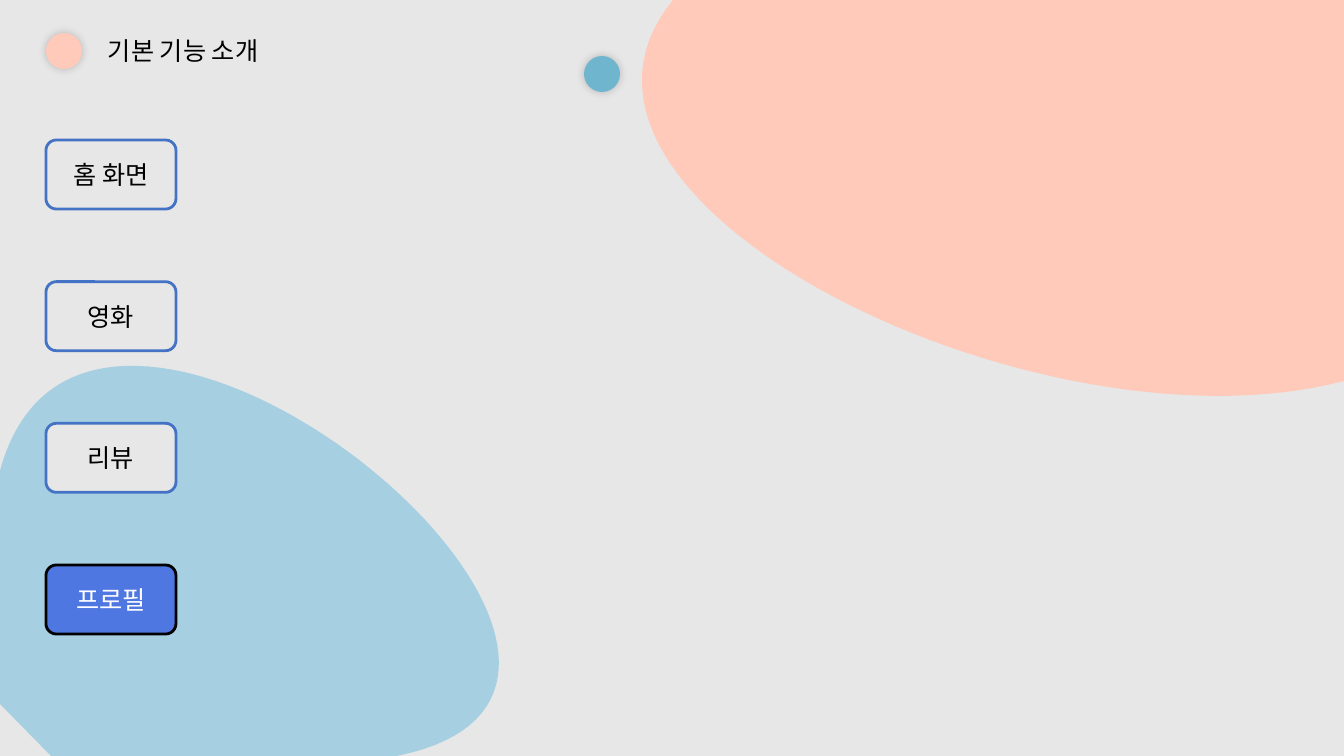
from lxml.etree import SubElement
from pptx import Presentation
from pptx.dml.color import RGBColor
from pptx.enum.shapes import MSO_SHAPE as SHAPE
from pptx.enum.text import MSO_ANCHOR as ANCHOR, MSO_AUTO_SIZE as AUTO, PP_ALIGN as ALIGN
from pptx.oxml.ns import qn
from pptx.util import Emu, Pt

SLIDE_W, SLIDE_H = 1344, 756
EMU_PER_PX = 12192000 / SLIDE_W
FONT, TEXT_SIZE = "Calibri", 18
BLACK, GREY, PEACH = "000000", "E7E7E7", "FFCABA"

TITLE = "기본 기능 소개"
TITLE_BOX = (103, 30, 332, 38)
BUTTONS = ["홈 화면", "영화", "리뷰", "프로필"]
ACTIVE = "프로필"
BUTTON_X, BUTTON_W, BUTTON_H = 46, 130, 69
FIRST_TOP, LAST_TOP = 140, 565
DOT_SIZE = 36
DOTS = [(584, 56, "70B5CE"), (46, 33, PEACH)]

# Each blob: fill, start point, then steps: one point is a line, three are a cubic curve
BLOBS = [
    ("A6CFE1", (138, 366), [
        [(347, 372), (673, 711), (386, 758)],
        [(53, 758)], [(0, 704)], [(0, 471)],
        [(21, 393), (74, 364), (138, 366)],
    ]),
    (PEACH, (1344, 0), [
        [(1344, 381)],
        [(1040, 461), (508, 202), (673, 0)],
    ]),
]
CURVE_STEPS = 60


def px(n):
    return Emu(round(n * EMU_PER_PX))


def color(hex_code):
    return RGBColor.from_string(hex_code)


def paint(s, fill, line=None):
    s.shadow.inherit = False
    s.fill.solid()
    s.fill.fore_color.rgb = color(fill)
    if line:
        s.line.color.rgb = color(line)
        s.line.width = Pt(2)
    else:
        s.line.fill.background()


def add_glow_shadow(s):
    effects = s.element.spPr.find(qn("a:effectLst"))
    shadow = SubElement(effects, qn("a:outerShdw"), blurRad=str(Pt(6)), dist="0",
                        dir=str(315 * 60000), algn="ctr", rotWithShape="0")
    tint = SubElement(shadow, qn("a:srgbClr"), val=BLACK)
    SubElement(tint, qn("a:alpha"), val="20000")


def write(s, text, hex_code, align):
    tf = s.text_frame
    tf.word_wrap = True
    tf.margin_left = tf.margin_right = tf.margin_top = tf.margin_bottom = px(5)
    p = tf.paragraphs[0]
    p.alignment = align
    r = p.add_run()
    r.text = text
    r.font.name, r.font.size = FONT, Pt(TEXT_SIZE)
    r.font.color.rgb = color(hex_code)
    return tf


def cubic(p0, p1, p2, p3):
    """Points along a cubic curve, without its start."""
    for i in range(1, CURVE_STEPS + 1):
        t = i / CURVE_STEPS
        u = 1 - t
        yield tuple(u**3 * a + 3 * u * u * t * b + 3 * u * t * t * c + t**3 * d
                    for a, b, c, d in zip(p0, p1, p2, p3))


def add_blob(shapes, fill, start, steps):
    points = [start]
    for step in steps:
        points += step if len(step) == 1 else list(cubic(points[-1], *step))
    outline = [(px(x), px(y)) for x, y in points]
    builder = shapes.build_freeform(*outline[0])
    builder.add_line_segments(outline[1:], close=True)
    paint(builder.convert_to_shape(), fill)


def add_preset(shapes, kind, box, fill, line=None):
    s = shapes.add_shape(kind, *map(px, box))
    paint(s, fill, line)
    return s


def main():
    prs = Presentation()
    prs.slide_width, prs.slide_height = px(SLIDE_W), px(SLIDE_H)
    slide = prs.slides.add_slide(prs.slide_layouts[6])
    slide.background.fill.solid()
    slide.background.fill.fore_color.rgb = color(GREY)
    shapes = slide.shapes

    for blob in BLOBS:
        add_blob(shapes, *blob)
    for x, y, fill in DOTS:
        add_glow_shadow(add_preset(shapes, SHAPE.OVAL, (x, y, DOT_SIZE, DOT_SIZE), fill))

    title = shapes.add_textbox(*map(px, TITLE_BOX))
    write(title, TITLE, BLACK, ALIGN.LEFT).auto_size = AUTO.SHAPE_TO_FIT_TEXT

    pitch = (LAST_TOP - FIRST_TOP) / (len(BUTTONS) - 1)
    for i, label in enumerate(BUTTONS):
        fill, line, ink = (("4F77E1", BLACK, "FFFFFF") if label == ACTIVE
                           else (GREY, "4472C4", BLACK))
        box = (BUTTON_X, FIRST_TOP + i * pitch, BUTTON_W, BUTTON_H)
        s = add_preset(shapes, SHAPE.ROUNDED_RECTANGLE, box, fill, line)
        s.adjustments[0] = 0.15
        write(s, label, ink, ALIGN.CENTER).vertical_anchor = ANCHOR.MIDDLE

    prs.save("out.pptx")


if __name__ == "__main__":
    main()
